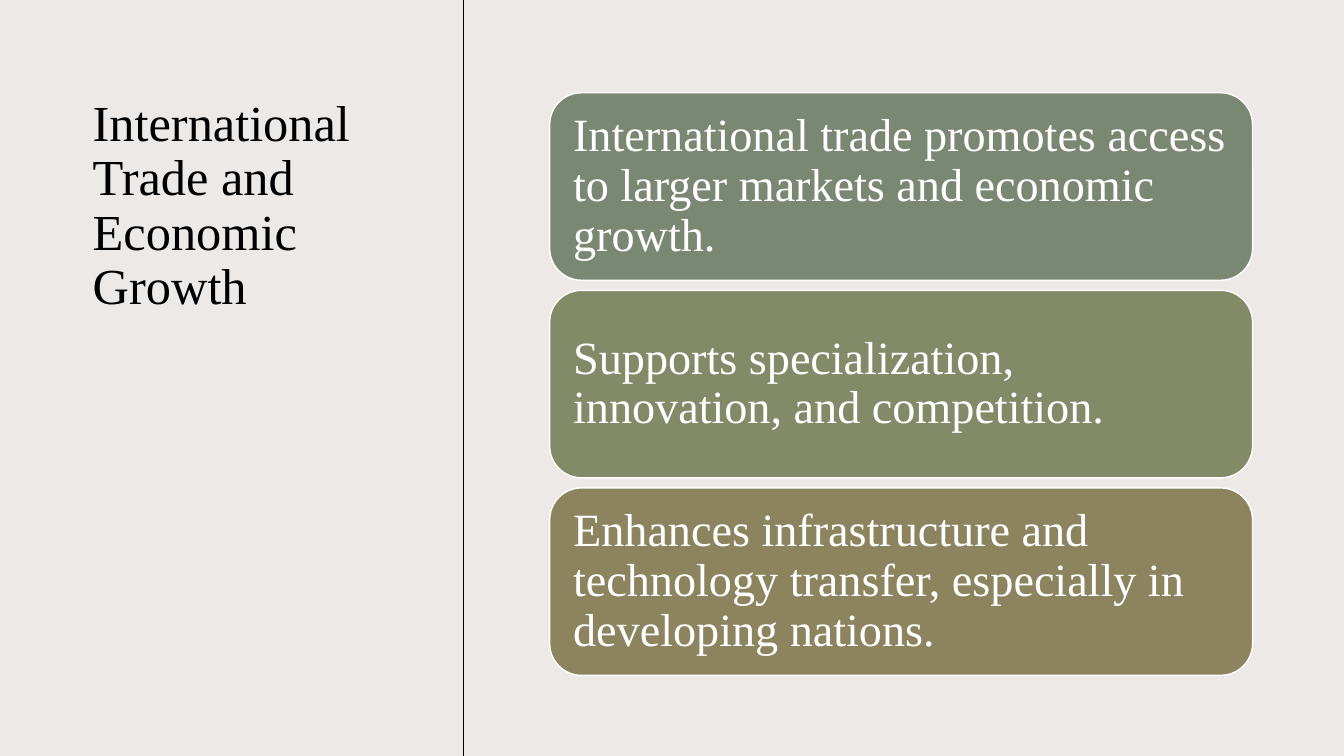
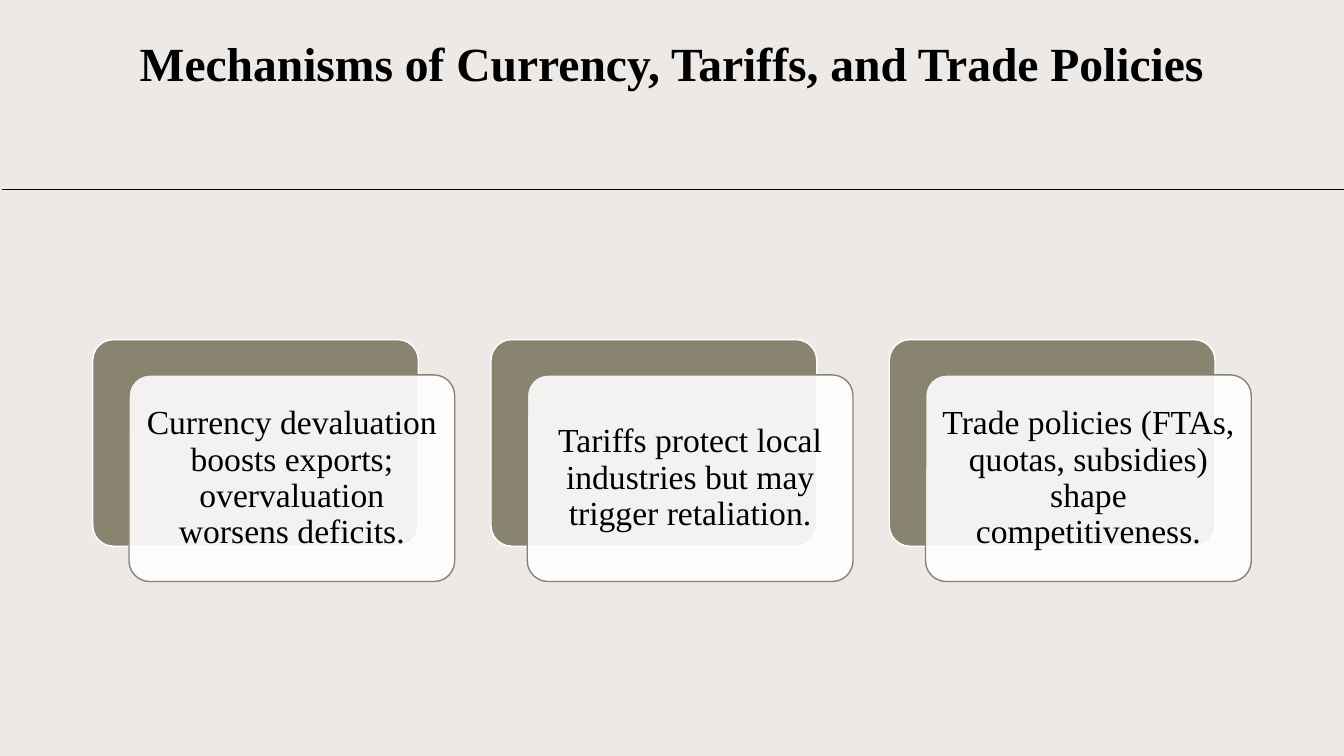
from lxml.etree import SubElement
from pptx import Presentation
from pptx.dml.color import RGBColor
from pptx.enum.shapes import MSO_CONNECTOR, MSO_SHAPE
from pptx.enum.text import MSO_ANCHOR, MSO_AUTO_SIZE, PP_ALIGN
from pptx.oxml.ns import qn
from pptx.util import Inches, Pt

FONT = "Times New Roman"
BLACK = RGBColor(0x00, 0x00, 0x00)
WHITE = RGBColor(0xFF, 0xFF, 0xFF)
STONE = RGBColor(0xED, 0xE9, 0xE7)
SAGE = RGBColor(0x7A, 0x87, 0x73)
MOSS = RGBColor(0x82, 0x8A, 0x68)
OLIVE = RGBColor(0x8C, 0x84, 0x5E)
TAUPE = RGBColor(0x89, 0x84, 0x70)
TITLE_ONLY = 5


def spread(start, extent, gap, count):
    size = (extent - gap * (count - 1)) / count
    return [start + i * (size + gap) for i in range(count)], size


class Deck:
    """Places elements on a grid of 100 columns by 100 rows."""

    def __init__(self):
        self.prs = Presentation()
        self.prs.slide_width = Inches(13.33)
        self.prs.slide_height = Inches(7.5)
        background = self.prs.slide_master.background.fill
        background.solid()
        background.fore_color.rgb = STONE
        self.slide = None

    def x(self, columns):
        return round(self.prs.slide_width * columns / 100)

    def y(self, rows):
        return round(self.prs.slide_height * rows / 100)

    def box(self, left, top, width, height):
        return self.x(left), self.y(top), self.x(width), self.y(height)

    def set_text(self, frame, text, size, color, align, bold=False):
        frame.word_wrap = True
        frame.auto_size = MSO_AUTO_SIZE.NONE
        frame.text = text
        paragraph = frame.paragraphs[0]
        paragraph.alignment = align
        paragraph.line_spacing = 0.9
        font = paragraph.font
        font.name, font.size, font.bold = FONT, Pt(size), bold
        font.color.rgb = color

    def add_slide(self, text, area, size, align=PP_ALIGN.LEFT, bold=False):
        layout = self.prs.slide_layouts[TITLE_ONLY]
        self.slide = self.prs.slides.add_slide(layout)
        title = self.slide.shapes.title
        title.left, title.top, title.width, title.height = self.box(*area)
        self.set_text(title.text_frame, text, size, BLACK, align, bold)
        title.text_frame.vertical_anchor = MSO_ANCHOR.TOP

    def rule(self, start, end):
        line = self.slide.shapes.add_connector(
            MSO_CONNECTOR.STRAIGHT,
            self.x(start[0]), self.y(start[1]), self.x(end[0]), self.y(end[1]))
        line.line.color.rgb = BLACK
        line.line.width = Pt(0.5)
        SubElement(line.element.spPr, qn("a:effectLst"))

    def panel(self, area, fill, outline, rounding=0.17, opacity=100):
        panel = self.slide.shapes.add_shape(
            MSO_SHAPE.ROUNDED_RECTANGLE, *self.box(*area))
        panel.adjustments[0] = rounding
        panel.shadow.inherit = False
        panel.fill.solid()
        panel.fill.fore_color.rgb = fill
        panel.line.color.rgb = outline
        panel.line.width = Pt(1)
        if opacity < 100:
            color = panel.element.spPr.find(qn("a:solidFill")).find(qn("a:srgbClr"))
            SubElement(color, qn("a:alpha"), val=str(opacity * 1000))
        return panel

    def caption(self, panel, text, size, color, align, inset):
        frame = panel.text_frame
        frame.margin_left = frame.margin_right = Inches(inset)
        frame.margin_top = frame.margin_bottom = Inches(inset)
        frame.vertical_anchor = MSO_ANCHOR.MIDDLE
        self.set_text(frame, text, size, color, align)

    def bar(self, area, text, fill):
        self.caption(self.panel(area, fill, WHITE),
                     text, 33, WHITE, PP_ALIGN.LEFT, 0.14)

    def layered_card(self, area, text, shift):
        left, top, width, height = area
        self.panel(area, TAUPE, WHITE, 0.1)
        front = self.panel((left + shift[0], top + shift[1], width, height),
                           WHITE, TAUPE, 0.1, 90)
        self.caption(front, text, 24, BLACK, PP_ALIGN.CENTER, 0.1)


def growth_slide(deck):
    deck.add_slide("International Trade and Economic Growth",
                   (6.15, 12.27, 25.4, 75.6), 36)
    deck.rule((34.5, 100), (34.5, 0))
    benefits = [
        ("International trade promotes access to larger markets and economic growth.", SAGE),
        ("Supports specialization, innovation, and competition.", MOSS),
        ("Enhances infrastructure and technology transfer, especially in developing nations.", OLIVE),
    ]
    tops, height = spread(12.27, 77.07, 1.33, len(benefits))
    for top, (benefit, fill) in zip(tops, benefits):
        deck.bar((40.9, top, 52.3, height), benefit, fill)


def mechanisms_slide(deck):
    deck.add_slide("Mechanisms of Currency, Tariffs, and Trade Policies",
                   (9.23, 4.67, 81.55, 15.73), 34, PP_ALIGN.CENTER, True)
    deck.rule((100, 25.07), (0.15, 25.07))
    mechanisms = [
        "Currency devaluation boosts exports; overvaluation worsens deficits.",
        "Tariffs protect local industries but may trigger retaliation.",
        "Trade policies (FTAs, quotas, subsidies) shape competitiveness.",
    ]
    shift = (2.7, 4.67)
    lefts, width = spread(6.9, 83.5, 2 * shift[0], len(mechanisms))
    for left, mechanism in zip(lefts, mechanisms):
        deck.layered_card((left, 44.93, width, 27.33), mechanism, shift)


def main():
    deck = Deck()
    growth_slide(deck)
    mechanisms_slide(deck)
    deck.prs.save("out.pptx")


if __name__ == "__main__":
    main()
